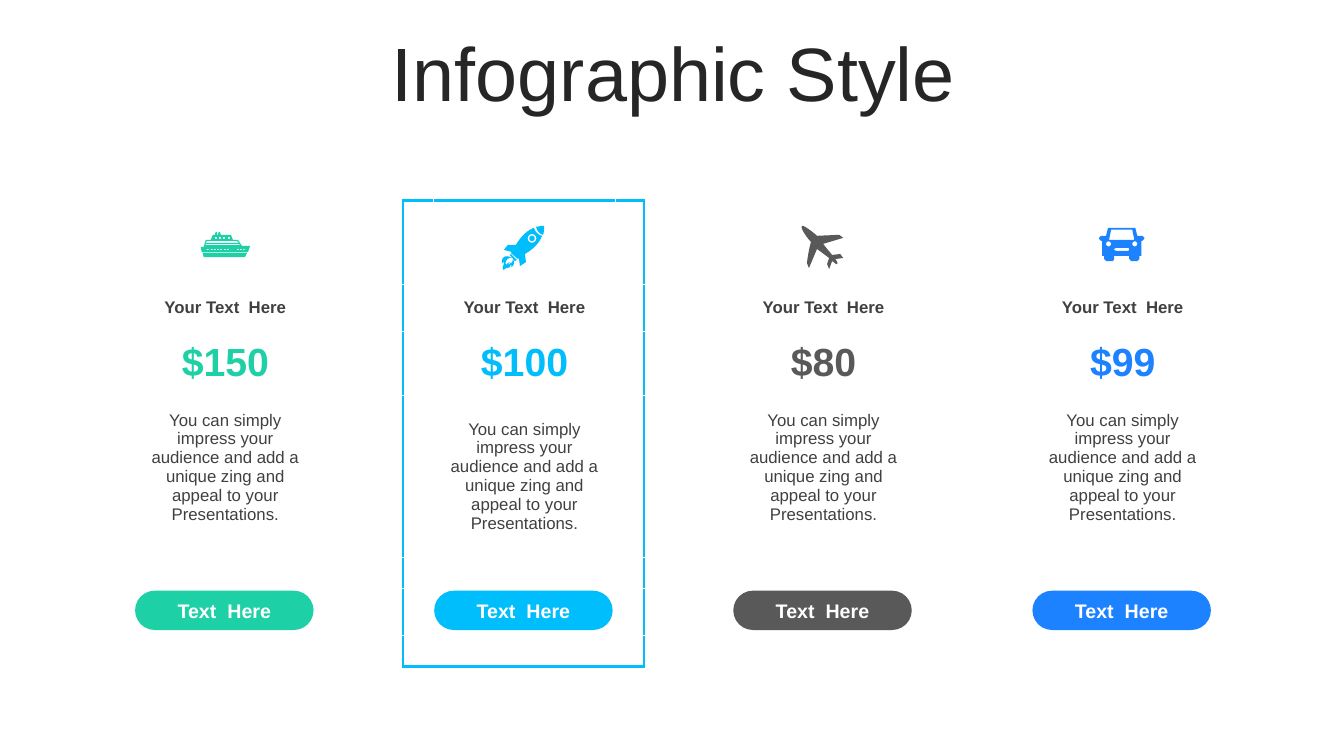
import itertools
import math

import lxml.etree
import pptx
import pptx.dml.color
import pptx.enum.shapes
import pptx.enum.text
import pptx.oxml.ns
import pptx.util

Inches = pptx.util.Inches
Color = pptx.dml.color.RGBColor
WHITE = Color(0xFF, 0xFF, 0xFF)
TITLE_INK = Color(0x26, 0x26, 0x26)
TEXT_INK = Color(0x40, 0x40, 0x40)
GREEN = Color(0x1E, 0xD0, 0xA6)
CYAN = Color(0x00, 0xBD, 0xFB)
GRAY = Color(0x59, 0x59, 0x59)
BLUE = Color(0x1C, 0x82, 0xFF)

FIRST_LEFT, LAST_LEFT, CARD_TOP = 1.03, 9.93, 1.99
CARD_PITCH = (LAST_LEFT - FIRST_LEFT) / 3
COLUMN_WIDTHS = [0.3, 1.81, 0.28]
ROW_HEIGHTS = [0.83, 0.47, 0.63, 1.61, 0.3, 0.47, 0.3]
HEADING_ROW, PRICE_ROW, DESCRIPTION_ROW, BUTTON_ROW = 1, 2, 3, 5
DESCRIPTION = ("You can simply impress your audience and add a unique zing "
               "and appeal to your Presentations.")

HEADING_FORMAT = {"size": pptx.util.Pt(12), "bold": True}
PRICE_FORMAT = {"size": pptx.util.Pt(28), "bold": True}
DESCRIPTION_FORMAT = {"size": pptx.util.Pt(12), "bold": False}
BUTTON_FORMAT = {"size": pptx.util.Pt(14), "bold": True}
TITLE_FORMAT = {"size": pptx.util.Pt(54), "bold": False}


def circle(x, y, radius, steps=20):
    angles = [2 * math.pi * step / steps for step in range(steps)]
    return [(x + radius * math.cos(angle), y + radius * math.sin(angle)) for angle in angles]


def box(x, y, width, height):
    return [(x, y), (x + width, y), (x + width, y + height), (x, y + height)]


def flatten(outline, steps=6):
    """Turn (x, y) corners and six-number cubic curves into plain points."""
    points = []
    for item in outline:
        if len(item) == 2:
            points.append(item)
            continue
        controls = [points[-1], item[:2], item[2:4], item[4:]]
        for step in range(1, steps + 1):
            t = step / steps
            weights = [math.comb(3, k) * t ** k * (1 - t) ** (3 - k) for k in range(4)]
            points.append(tuple(sum(weight * control[axis] for weight, control
                                    in zip(weights, controls)) for axis in (0, 1)))
    return points


# Icon outlines are in hundredths of an inch; inner outlines cut holes.
SHIP = [
    [(2, 21), (46, 21), (44, 25), (3, 25)],
    [(18, 0), (19, 0), (20, 3), (30, 3), (32, 8), (37, 8), (41, 14), (49, 14), (47, 20),
     (1, 20), (0, 15), (3, 15), (5, 8), (10, 8), (12, 3), (14, 3), (15, 0), (16, 0),
     (16, 3), (17, 3)],
    [(5, 12), (5, 13), (40, 13), (38, 12)],
    [(6, 9), (5, 11), (38, 11), (36, 9)],
    *[box(x, 17, 2, 1) for x in (6, 10, 13, 16, 19, 23, 26, 36, 39, 42)],
    *[box(x, 5, 2, 2) for x in (14, 18, 22, 27)],
]
ROCKET = [
    [(10, 32), (7, 31, 3, 34, 4, 39), (6, 37, 7, 36, 9, 36), (8, 36, 6, 37, 7, 39),
     (8, 36, 11, 38, 11, 33), (14, 38, 11, 39, 10, 41), (9, 41, 10, 38, 9, 39),
     (7, 44, 4, 40, 2, 44), (-1, 41, 3, 39, 2, 36), (2, 36, 1, 36, 0, 38),
     (-1, 29, 6, 29, 10, 32)],
    [(9, 28), (15, 34), (13, 35), (8, 29)],
    circle(30, 12.5, 4.3),
    circle(30, 12.5, 2.7),
    [(32, 2), (33, 6, 36, 9, 40, 10), (37, 18, 30, 24, 23, 28), (24, 36), (18, 40),
     (17, 32), (16, 33), (9, 27), (10, 26), (2, 24), (6, 19), (14, 19),
     (18, 12, 24, 5, 32, 2)],
    [(42, 0), (42, 3, 42, 6, 41, 9), (37, 8, 35, 5, 34, 1), (36, 1, 39, 0, 42, 0)],
]
PLANE = [
    [(42, 32), (34, 33), (35, 34, 37, 37, 36, 38), (35, 39, 33, 36, 31, 35), (28, 43),
     (26, 38), (28, 32), (16, 23), (8, 42), (6, 37), (7, 29, 8, 23, 10, 16),
     (6, 12, -1, 2, 1, 0), (2, -1, 12, 6, 16, 10), (38, 9), (42, 12), (22, 18),
     (31, 29), (39, 28)],
]
CAR = [
    [(9, 0), (36, 0), (38, 8), (43, 8), (45, 10), (45, 11), (43, 13), (42, 13), (42, 28),
     (40, 28), (40, 31), (38, 33), (32, 33), (30, 31), (30, 28), (15, 28), (15, 31),
     (14, 33), (7, 33), (5, 31), (5, 28), (3, 28), (3, 13), (2, 13), (0, 11), (0, 10),
     (2, 8), (7, 8)],
    [(12, 2), (10, 12), (35, 12), (33, 2)],
    [(17, 20), (15, 21), (15, 22), (17, 23), (29, 23), (30, 22), (30, 21), (29, 20)],
    circle(9.5, 16, 2.5),
    circle(35.5, 16, 2.5),
]

# Price, colour, icon, icon offset from the card's corner, highlighted
CARDS = [
    ("$150", GREEN, SHIP, (0.96, 0.31), False),
    ("$100", CYAN, ROCKET, (0.98, 0.25), True),
    ("$80", GRAY, PLANE, (0.98, 0.25), False),
    ("$99", BLUE, CAR, (0.97, 0.27), False),
]


class PricingSlide:
    def __init__(self, presentation, font_name="Arial"):
        self.slide = presentation.slides.add_slide(presentation.slide_layouts[5])
        self.font_name = font_name

    def set_text(self, text_frame, text, color, format_values):
        text_frame.word_wrap = True
        text_frame.text = text
        paragraph = text_frame.paragraphs[0]
        paragraph.alignment = pptx.enum.text.PP_ALIGN.CENTER
        font = paragraph.runs[0].font
        for name, value in {"name": self.font_name, **format_values}.items():
            setattr(font, name, value)
        font.color.rgb = color
        return paragraph

    def title(self, text):
        shape = self.slide.shapes.title
        bounds = {"left": 0.35, "top": 0.37, "width": 12.66, "height": 0.79}
        for name, value in bounds.items():
            setattr(shape, name, Inches(value))
        shape.text_frame.auto_size = pptx.enum.text.MSO_AUTO_SIZE.NONE
        shape.text_frame.vertical_anchor = pptx.enum.text.MSO_ANCHOR.MIDDLE
        self.set_text(shape.text_frame, text, TITLE_INK, TITLE_FORMAT).line_spacing = 0.9

    def border(self, cell, sides, color):
        properties = cell._tc.get_or_add_tcPr()
        for side in sides:
            line = lxml.etree.SubElement(properties, pptx.oxml.ns.qn("a:ln" + side),
                                         w=str(pptx.util.Pt(2.25)))
            fill = lxml.etree.SubElement(line, pptx.oxml.ns.qn("a:solidFill"))
            lxml.etree.SubElement(fill, pptx.oxml.ns.qn("a:srgbClr"), val=str(color))

    def card_table(self, left, price, color, highlighted):
        row_count, column_count = len(ROW_HEIGHTS), len(COLUMN_WIDTHS)
        table = self.slide.shapes.add_table(
            row_count, column_count, Inches(left), Inches(CARD_TOP),
            Inches(sum(COLUMN_WIDTHS)), Inches(sum(ROW_HEIGHTS))).table
        table.first_row = table.horz_banding = False
        for column, width in zip(table.columns, COLUMN_WIDTHS):
            column.width = Inches(width)
        for row, height in zip(table.rows, ROW_HEIGHTS):
            row.height = Inches(height)
        for row, column in itertools.product(range(row_count), range(column_count)):
            cell = table.cell(row, column)
            if highlighted:
                edges = {"L": column == 0, "R": column == column_count - 1,
                         "T": row == 0, "B": row == row_count - 1}
                self.border(cell, [side for side, outer in edges.items() if outer], color)
            cell.fill.solid()
            cell.fill.fore_color.rgb = WHITE
            cell.vertical_anchor = pptx.enum.text.MSO_ANCHOR.MIDDLE
            cell.margin_top = cell.margin_bottom = 0
        texts = {HEADING_ROW: ("Your Text  Here", TEXT_INK, HEADING_FORMAT),
                 PRICE_ROW: (price, color, PRICE_FORMAT),
                 DESCRIPTION_ROW: (DESCRIPTION, TEXT_INK, DESCRIPTION_FORMAT)}
        for row, content in texts.items():
            self.set_text(table.cell(row, 1).text_frame, *content)
        if not highlighted:
            table.cell(DESCRIPTION_ROW, 1).margin_bottom = Inches(0.18)

    def button(self, left, text, color):
        top = CARD_TOP + sum(ROW_HEIGHTS[:BUTTON_ROW]) + 0.03
        shape = self.slide.shapes.add_shape(
            pptx.enum.shapes.MSO_SHAPE.ROUNDED_RECTANGLE,
            Inches(left + 0.31), Inches(top), Inches(1.77), Inches(0.39))
        shape.adjustments[0] = 0.5
        self.paint(shape, color)
        shape.text_frame.vertical_anchor = pptx.enum.text.MSO_ANCHOR.MIDDLE
        self.set_text(shape.text_frame, text, WHITE, BUTTON_FORMAT)

    def icon(self, left, top, outlines, color):
        contours = [[(Inches(x / 100), Inches(y / 100)) for x, y in flatten(outline)]
                    for outline in outlines]
        builder = self.slide.shapes.build_freeform(*contours[0][0])
        for contour in contours:
            if contour is not contours[0]:
                builder.move_to(*contour[0])
            builder.add_line_segments(contour[1:], close=True)
        self.paint(builder.convert_to_shape(Inches(left), Inches(top)), color)

    def paint(self, shape, color):
        shape.shadow.inherit = False
        shape.fill.solid()
        shape.fill.fore_color.rgb = color
        shape.line.fill.background()


def main():
    presentation = pptx.Presentation()
    presentation.slide_width, presentation.slide_height = Inches(13.33), Inches(7.5)
    pricing = PricingSlide(presentation)
    pricing.title("Infographic Style")
    for index, (price, color, outlines, offset, highlighted) in enumerate(CARDS):
        left = FIRST_LEFT + index * CARD_PITCH
        pricing.card_table(left, price, color, highlighted)
        pricing.button(left, "Text  Here", color)
        pricing.icon(left + offset[0], CARD_TOP + offset[1], outlines, color)
    presentation.save("out.pptx")


if __name__ == "__main__":
    main()
